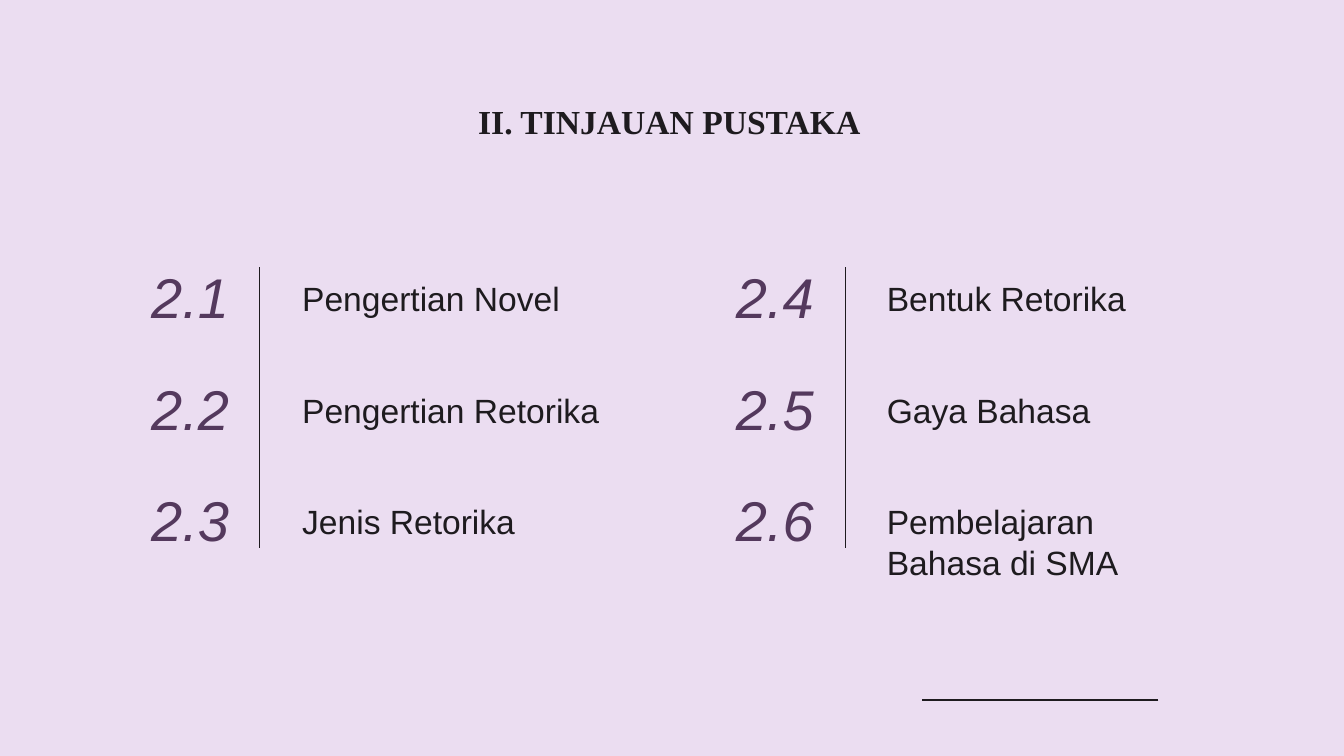
from dataclasses import dataclass

import pptx
import pptx.dml.color
import pptx.enum.shapes
import pptx.enum.text
import pptx.oxml
import pptx.oxml.ns
import pptx.slide
import pptx.util

ALIGN = pptx.enum.text.PP_ALIGN
ANCHOR = pptx.enum.text.MSO_ANCHOR


@dataclass(frozen=True)
class Theme:
    background: str = "EBDDF1"
    ink: str = "1E1B1F"
    accent: str = "54395D"
    heading_font: str = "Times New Roman"
    body_font: str = "Arial"
    text_size: float = 18
    number_size: float = 30
    rule_width: float = 0.75
    inset: float = 0.1


@dataclass(frozen=True)
class Grid:
    """Two columns of three topics; lengths in inches."""
    left: float = 0.98
    top: float = 1.97
    column_pitch: float = 4.35
    row_pitch: float = 0.83
    row_height: float = 0.47
    number_width: float = 0.87
    divider_left: float = 1.93
    divider_pitch: float = 4.36
    topic_offset: float = 1.17
    topic_width: float = 2.52
    divider_margin: float = 0.02

    def column(self, index: int) -> float:
        return self.left + index * self.column_pitch

    def row(self, index: int) -> float:
        return self.top + index * self.row_pitch


@dataclass(frozen=True)
class Box:
    left: float
    top: float
    width: float
    height: float


@dataclass(frozen=True)
class Style:
    font: str
    size: float
    color: str
    bold: bool = False
    italic: bool = False
    align: ALIGN = ALIGN.LEFT
    anchor: ANCHOR = ANCHOR.TOP


THEME = Theme()
GRID = Grid()
WIDTH = 10
HEIGHT = WIDTH * 9 / 16

HEADING = Style(THEME.heading_font, THEME.text_size, THEME.ink, bold=True, align=ALIGN.CENTER)
NUMBER = Style(THEME.body_font, THEME.number_size, THEME.accent, italic=True,
               align=ALIGN.CENTER, anchor=ANCHOR.MIDDLE)
TOPIC = Style(THEME.body_font, THEME.text_size, THEME.ink)

CHAPTER = 2
TOPIC_COLUMNS = (
    ("Pengertian Novel", "Pengertian Retorika", "Jenis Retorika"),
    ("Bentuk Retorika", "Gaya Bahasa", "Pembelajaran Bahasa di SMA"),
)


def rgb(color: str) -> pptx.dml.color.RGBColor:
    return pptx.dml.color.RGBColor.from_string(color)


def add_text(slide: pptx.slide.Slide, box: Box, text: str, style: Style) -> None:
    lengths = (pptx.util.Inches(n) for n in (box.left, box.top, box.width, box.height))
    frame = slide.shapes.add_textbox(*lengths).text_frame
    frame.word_wrap = True
    frame.vertical_anchor = style.anchor
    inset = pptx.util.Inches(THEME.inset)
    frame.margin_left = frame.margin_top = frame.margin_right = frame.margin_bottom = inset
    paragraph = frame.paragraphs[0]
    paragraph.alignment = style.align
    run = paragraph.add_run()
    run.text = text
    run.font.name = style.font
    run.font.size = pptx.util.Pt(style.size)
    run.font.bold = style.bold
    run.font.italic = style.italic
    run.font.color.rgb = rgb(style.color)


def add_rule(slide: pptx.slide.Slide, x1: float, y1: float, x2: float, y2: float) -> None:
    ends = (pptx.util.Inches(n) for n in (x1, y1, x2, y2))
    rule = slide.shapes.add_connector(pptx.enum.shapes.MSO_CONNECTOR.STRAIGHT, *ends)
    rule.line.color.rgb = rgb(THEME.ink)
    rule.line.width = pptx.util.Pt(THEME.rule_width)
    properties = rule._element.spPr
    properties.append(pptx.oxml.parse_xml(f'<a:effectLst {pptx.oxml.ns.nsdecls("a")}/>'))


def add_topic_column(slide: pptx.slide.Slide, index: int, topics: tuple[str, ...]) -> None:
    left = GRID.column(index)
    for row, topic in enumerate(topics):
        top = GRID.row(row)
        number = f"{CHAPTER}.{index * len(topics) + row + 1}"
        add_text(slide, Box(left, top, GRID.number_width, GRID.row_height), number, NUMBER)
        add_text(slide, Box(left + GRID.topic_offset, top, GRID.topic_width, GRID.row_height),
                 topic, TOPIC)
    # Divider between numbers and topics
    x = GRID.divider_left + index * GRID.divider_pitch
    bottom = GRID.row(len(topics) - 1) + GRID.row_height
    add_rule(slide, x, GRID.top + GRID.divider_margin, x, bottom - GRID.divider_margin)


def main() -> None:
    deck = pptx.Presentation()
    deck.slide_width = pptx.util.Inches(WIDTH)
    deck.slide_height = pptx.util.Inches(HEIGHT)
    slide = deck.slides.add_slide(deck.slide_layouts[6])
    slide.background.fill.solid()
    slide.background.fill.fore_color.rgb = rgb(THEME.background)

    # Footer rule
    add_rule(slide, 8.62, 5.21, 6.86, 5.21)

    # Chapter heading
    add_text(slide, Box(0.74, 0.65, 8.48, 0.63), "II. TINJAUAN PUSTAKA", HEADING)

    # Numbered topics
    for index, topics in enumerate(TOPIC_COLUMNS):
        add_topic_column(slide, index, topics)

    deck.save("out.pptx")


if __name__ == "__main__":
    main()
